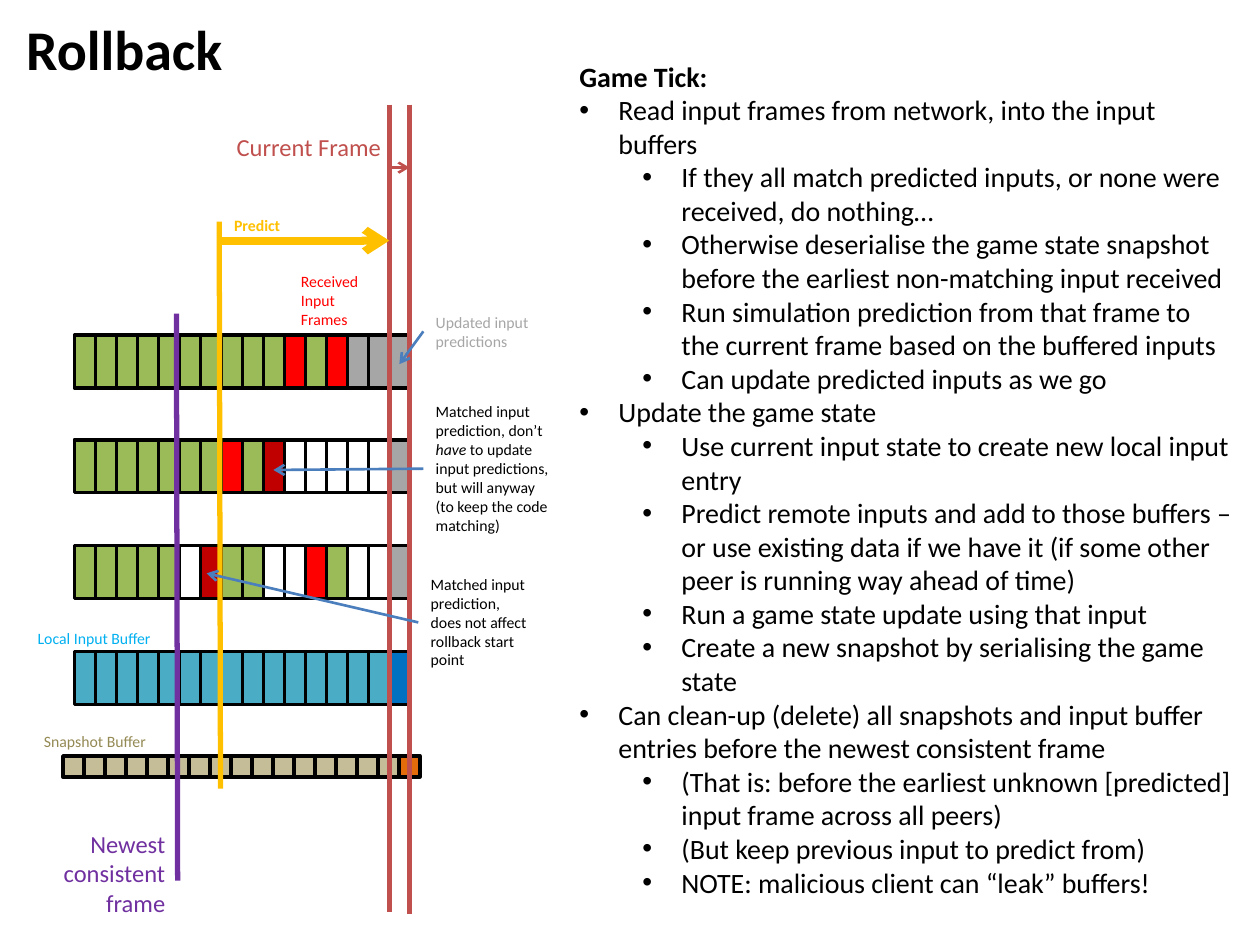
from lxml import etree
from pptx import Presentation
from pptx.dml.color import RGBColor
from pptx.enum import shapes, text
from pptx.oxml import ns
from pptx.util import Inches, Pt

BLACK = RGBColor(0x00, 0x00, 0x00)
WHITE = RGBColor(0xFF, 0xFF, 0xFF)
RED = RGBColor(0xFF, 0x00, 0x00)
DARK_RED = RGBColor(0xC0, 0x00, 0x00)
GREEN = RGBColor(0x9B, 0xBB, 0x59)
GREY = RGBColor(0xA6, 0xA6, 0xA6)
TEAL = RGBColor(0x4B, 0xAC, 0xC6)
BLUE = RGBColor(0x00, 0x70, 0xC0)
TAN = RGBColor(0xC4, 0xBD, 0x97)
ORANGE = RGBColor(0xE4, 0x6C, 0x0A)
BRICK = RGBColor(0xC0, 0x50, 0x4D)
PURPLE = RGBColor(0x70, 0x30, 0xA0)
GOLD = RGBColor(0xFF, 0xC0, 0x00)
STEEL = RGBColor(0x4B, 0x7E, 0xBC)
OLIVE = RGBColor(0x94, 0x8A, 0x54)
SKY = RGBColor(0x00, 0xB0, 0xF0)

# One letter per frame in a buffer
FRAMES = {"g": GREEN, "r": RED, "d": DARK_RED, "w": WHITE, "p": GREY,
          "t": TEAL, "b": BLUE, "s": TAN, "o": ORANGE}
FRAME_WIDTH = 1 / 6


class Diagram:
    font = "Calibri"

    def __init__(self, slide):
        self.slide = slide

    def buffer(self, left, top, height, frames):
        group = self.slide.shapes.add_group_shape()
        for i, frame in enumerate(frames):
            cell = group.shapes.add_shape(
                shapes.MSO_SHAPE.RECTANGLE, Inches(left + i * FRAME_WIDTH),
                Inches(top), Inches(FRAME_WIDTH), Inches(height))
            cell.shadow.inherit = False
            cell.fill.solid()
            cell.fill.fore_color.rgb = FRAMES[frame]
            cell.line.color.rgb = BLACK
            cell.line.width = Pt(2)

    def line(self, start, end, color, width, arrow=False):
        line = self.slide.shapes.add_connector(
            shapes.MSO_CONNECTOR.STRAIGHT, *map(Inches, start + end))
        line.line.color.rgb = color
        line.line.width = Pt(width)
        if arrow:
            etree.SubElement(line.line._get_or_add_ln(),
                             ns.qn("a:tailEnd"), type="arrow")
        etree.SubElement(line._element.spPr, ns.qn("a:effectLst"))

    def frame(self, box, wrap=True):
        frame = self.slide.shapes.add_textbox(*map(Inches, box)).text_frame
        frame.word_wrap = wrap
        frame.auto_size = text.MSO_AUTO_SIZE.SHAPE_TO_FIT_TEXT
        return frame

    def style(self, paragraph, size, color, bold=False):
        font = paragraph.font
        font.name, font.size, font.bold = self.font, Pt(size), bold
        font.color.rgb = color

    def label(self, box, runs, size, color, bold=False, wrap=True,
              align=text.PP_ALIGN.LEFT):
        """Odd-numbered runs are italic."""
        paragraph = self.frame(box, wrap).paragraphs[0]
        paragraph.alignment = align
        for i, words in enumerate(runs):
            run = paragraph.add_run()
            run.text = words
            if i % 2:
                run.font.italic = True
        self.style(paragraph, size, color, bold)

    def outline(self, box, heading, items, size, color):
        frame = self.frame(box)
        frame.text = heading
        self.style(frame.paragraphs[0], size, color, bold=True)
        for level, words in items:
            paragraph = frame.add_paragraph()
            paragraph.text = words
            paragraph.level = level
            props = paragraph._p.get_or_add_pPr()
            props.set("marL", str(Inches(0.31 + 0.5 * level)))
            props.set("indent", str(Inches(-0.31)))
            etree.SubElement(props, ns.qn("a:buFont"), typeface="Arial")
            etree.SubElement(props, ns.qn("a:buChar"), char="•")
            self.style(paragraph, size, color)


prs = Presentation()
prs.slide_width, prs.slide_height = Inches(10), Inches(7.5)
diagram = Diagram(prs.slides.add_slide(prs.slide_layouts[6]))

# Snapshot, local and remote input buffers
diagram.buffer(0.5, 6, FRAME_WIDTH, "s" * 16 + "o")
for top, frames in [(5.17, "t" * 15 + "b"),
                    (3.49, "gggggggrgdwwwwwp"),
                    (4.33, "gggggwdggwwrgwwp"),
                    (2.66, "ggggggggggrgrppp")]:
    diagram.buffer(0.59, top, 0.42, frames)

# Frame markers
diagram.line((3.09, 0.83), (3.09, 7.24), BRICK, 3)
diagram.line((1.41, 6.99), (1.4, 2.49), PURPLE, 3)
diagram.line((1.75, 6.26), (1.74, 1.76), GOLD, 3)
diagram.line((3.25, 0.83), (3.25, 7.25), BRICK, 3)
diagram.line((3.09, 1.33), (3.25, 1.33), BRICK, 1.5, arrow=True)
diagram.line((1.75, 1.91), (3.09, 1.91), GOLD, 4.5, arrow=True)

# Title and marker labels
diagram.label((0.11, 0.07, 1.77, 0.64), ["Rollback"], 32, BLACK,
              bold=True, wrap=False)
diagram.label((0.09, 6.53, 1.32, 0.81), ["Newest consistent frame"], 14,
              PURPLE, align=text.PP_ALIGN.RIGHT)
diagram.label((1.78, 1, 1.36, 0.34), ["Current Frame"], 14, BRICK, wrap=False)
diagram.label((1.76, 1.66, 0.67, 0.25), ["Predict"], 9, GOLD, bold=True)

# Buffer labels
diagram.label((2.29, 2.11, 0.67, 0.56), ["Received Input Frames"], 9, RED)
diagram.label((0.25, 5.76, 1.02, 0.25), ["Snapshot Buffer"], 9, OLIVE,
              wrap=False)
diagram.label((0.2, 4.94, 1.11, 0.25), ["Local Input Buffer"], 9, SKY,
              wrap=False)

# Notes on predictions, with their pointers
diagram.label((3.36, 2.43, 0.98, 0.4), ["Updated input predictions"], 9, GREY)
diagram.label((3.36, 3.14, 1.14, 1.16),
              ["Matched input prediction, don’t ", "have",
               " to update input predictions, but will anyway "
               "(to keep the code matching)"], 9, BLACK)
diagram.label((3.32, 4.51, 0.98, 0.86),
              ["Matched input prediction, does not affect rollback "
               "start point"], 9, BLACK)
for start, end in [((3.36, 2.63), (3.17, 2.89)),
                   ((3.36, 3.72), (2.17, 3.73)),
                   ((3.32, 4.94), (1.64, 4.55))]:
    diagram.line(start, end, STEEL, 1.5, arrow=True)

# Steps of the game tick
diagram.outline((4.5, 0.42, 5.38, 6.83), "Game Tick:", [
    (0, "Read input frames from network, into the input buffers"),
    (1, "If they all match predicted inputs, or none were received, "
        "do nothing…"),
    (1, "Otherwise deserialise the game state snapshot before the earliest "
        "non-matching input received"),
    (1, "Run simulation prediction from that frame to the current frame "
        "based on the buffered inputs"),
    (1, "Can update predicted inputs as we go"),
    (0, "Update the game state"),
    (1, "Use current input state to create new local input entry"),
    (1, "Predict remote inputs and add to those buffers – or use existing "
        "data if we have it (if some other peer is running way ahead of "
        "time)"),
    (1, "Run a game state update using that input"),
    (1, "Create a new snapshot by serialising the game state"),
    (0, "Can clean-up (delete) all snapshots and input buffer entries before "
        "the newest consistent frame"),
    (1, "(That is: before the earliest unknown [predicted] input frame "
        "across all peers)"),
    (1, "(But keep previous input to predict from)"),
    (1, "NOTE: malicious client can “leak” buffers!"),
], 16, BLACK)

prs.save("out.pptx")
